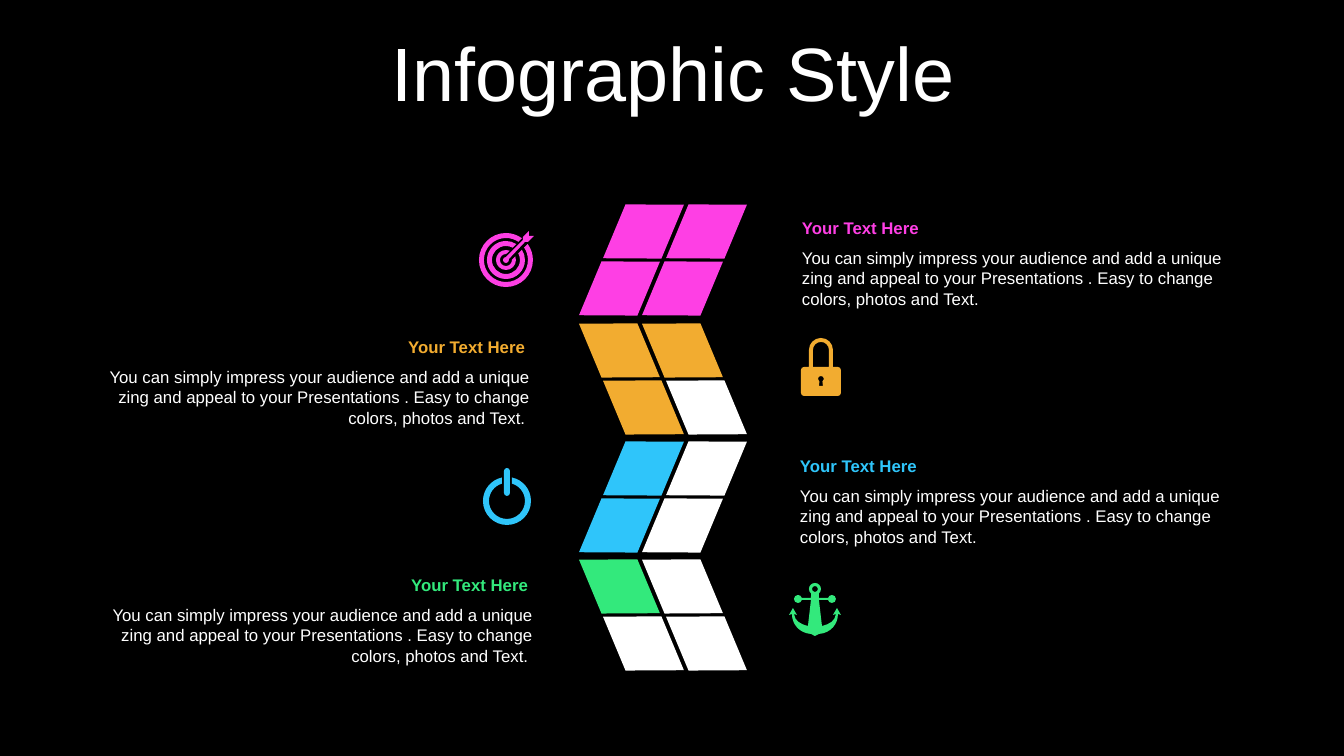
import dataclasses
import math

import pptx
import pptx.dml.color
import pptx.enum.shapes
import pptx.enum.text
import pptx.oxml
import pptx.oxml.ns
import pptx.util

SCALE = 914400 / 100.8
ALIGN = pptx.enum.text.PP_ALIGN
ANCHOR = pptx.enum.text.MSO_ANCHOR
GROW = pptx.enum.text.MSO_AUTO_SIZE.SHAPE_TO_FIT_TEXT


@dataclasses.dataclass(frozen=True)
class Theme:
    """Colours, font and type sizes of the slide."""
    back: str = "000000"
    plain: str = "FFFFFF"
    bands: tuple = ("FE3FE4", "F2AC30", "2FC5FA", "33E97C")
    font: str = "Arial"
    title: int = 54
    body: int = 12


def px(value):
    """Turn px into EMU."""
    return pptx.util.Emu(round(value * SCALE))


def rgb(color):
    """Turn a hex string into a colour."""
    return pptx.dml.color.RGBColor.from_string(color)


def arc(x, y, r, start=0, end=360):
    """Give an arc as a point and cubic curves, split at each quarter turn."""
    low, high = sorted((start, end))
    stops = sorted({low, high, *(q for q in range(-360, 721, 90) if low < q < high)},
                   reverse=start > end)
    turns = [math.radians(stop) for stop in stops]
    steps = [(x + r * math.cos(turns[0]), y - r * math.sin(turns[0]))]
    for a, b in zip(turns, turns[1:]):
        k = r * 4 / 3 * math.tan((b - a) / 4)
        far = (x + r * math.cos(b), y - r * math.sin(b))
        steps.append((*steps[-1][-2:], *far, *far))
        near = steps[-1]
        steps[-1] = (near[0] - k * math.sin(a), near[1] - k * math.cos(a),
                     far[0] + k * math.sin(b), far[1] + k * math.cos(b), *far)
    return steps


def ring(x, y, outer, inner, mid, gap):
    """Give the outline of a ring with a straight gap cut at the angle mid."""
    wide, slim = (math.degrees(math.asin(gap / r)) for r in (inner, outer))
    return (arc(x, y, outer, mid + slim, mid + 360 - slim)
            + arc(x, y, inner, mid + 360 - wide, mid + wide))


def mirror(steps, x):
    """Give the steps flipped about x and in reverse order."""
    back = [steps[-1][-2:]]
    for last, step in zip(steps[-2::-1], steps[:0:-1]):
        back.append((*step[2:4], *step[:2], *last[-2:]) if len(step) == 6 else last[-2:])
    return [tuple(v if i % 2 else 2 * x - v for i, v in enumerate(step)) for step in back]


def target():
    """Give the outlines of the target and its arrow."""
    x, y = 506, 260
    rings = [ring(x, y, far, near, 45, 4) for far, near in ((27, 22), (19, 14), (10, 6))]
    arrow = [(509, 259), (525, 242), (528, 242), (534, 236), (529, 236),
             (529, 231), (523, 237), (523, 240), (506, 257)]
    return rings + [arc(x, y, 3, 90, 360) + arrow]


def lock():
    """Give the outlines of the padlock."""
    frame = (arc(821, 350, 12, 180, 0) + [(833, 367)]
             + arc(838, 370, 3, 90, 0) + arc(838, 393, 3, 0, -90)
             + arc(804, 393, 3, 270, 180) + arc(804, 370, 3, 180, 90) + [(809, 367)])
    hole = arc(821, 350, 8, 180, 0) + [(829, 367), (813, 367)]
    key = arc(821, 379, 3, -60, 240) + [(819, 386), (823, 386)]
    return [frame, hole, key]


def power():
    """Give the outlines of the power sign."""
    bar = arc(507, 471, 3, 0, 180) + arc(507, 493, 3, 180, 360)
    return [ring(507, 501, 24, 18, 90, 5), bar]


def anchor():
    """Give the outlines of the anchor, its left half mirrored from the right."""
    x = 815
    half = (arc(x, 589, 6, 90, -50) + [(819, 598), (829, 598)]
            + arc(832, 599, 4, 165, -165) + [(829, 600), (819, 600), (822, 626)]
            + [(830, 624, 835, 621, 836, 614), (833, 615), (837, 608), (841, 615)]
            + [(838, 614), (838, 624, 831, 633, 819, 634), (x, 636)])
    return [half + mirror(half, x)[1:], arc(x, 589, 3)]


class Deck:
    """Hold the theme and the current slide."""

    def __init__(self, theme):
        """Open a blank slide."""
        self.theme = theme
        self.show = pptx.Presentation()
        self.show.slide_width, self.show.slide_height = px(1344), px(756)
        self.slide = self.show.slides.add_slide(self.show.slide_layouts[6])
        self.paint(self.slide.background, theme.back)

    def paint(self, item, color):
        """Fill an item with one colour."""
        item.fill.solid()
        item.fill.fore_color.rgb = rgb(color)

    def finish(self, shape, color):
        """Give a shape a flat fill with no line or shadow."""
        self.paint(shape, color)
        shape.line.fill.background()
        shape.shadow.inherit = False

    def tile(self, x, y, turn, color):
        """Add a turned diamond."""
        kind = pptx.enum.shapes.MSO_SHAPE.FLOWCHART_DECISION
        shape = self.slide.shapes.add_shape(kind, px(x), px(y), px(97), px(65))
        shape.rotation = turn
        self.finish(shape, color)

    def icon(self, outlines, color):
        """Add a freeform of closed outlines with lines and cubic curves."""
        build = None
        for steps in outlines:
            first, *rest = [tuple(map(px, step[-2:])) for step in steps]
            if build is None:
                build = self.slide.shapes.build_freeform(*first, scale=1.0)
            else:
                build.move_to(*first)
            build.add_line_segments(rest, close=True)
        shape = build.convert_to_shape()
        name = pptx.oxml.ns.qn
        lines = list(shape.element.iter(name("a:lnTo")))
        for line, step in zip(lines, [step for steps in outlines for step in steps[1:]]):
            if len(step) == 6:
                line.tag = name("a:cubicBezTo")
                for i in (0, 1):
                    dot = line.makeelement(name("a:pt"), {
                        "x": str(px(step[2 * i]) - shape.left),
                        "y": str(px(step[2 * i + 1]) - shape.top)})
                    line.insert(i, dot)
        self.finish(shape, color)

    def text(self, box, words, color, size, bold=False, frame=None, para=None, tail=0):
        """Add a wrapped text box, with a space of tail hundredths of a point at its end."""
        area = self.slide.shapes.add_textbox(*map(px, box)).text_frame
        line = area.paragraphs[0]
        jobs = [(area, {"word_wrap": True, **(frame or {})}), (line, para or {})]
        font = {"name": self.theme.font, "size": pptx.util.Pt(size), "bold": bold}
        for part in (words, " ") if tail else (words,):
            run = line.add_run()
            run.text = part
            run.font.color.rgb = rgb(color)
            jobs.append((run.font, font))
        for item, values in jobs:
            for name, value in values.items():
                setattr(item, name, value)
        if tail:
            run.font._element.set("spc", str(tail))

    def note(self, x, y, wide, color, align):
        """Add a heading with its text below."""
        look = {"frame": {"auto_size": GROW}, "para": {"alignment": align}}
        self.text((x, y, wide - 5, 30), "Your Text Here", color, self.theme.body, True, **look)
        words = ("You can simply impress your audience and add a unique zing and appeal "
                 "to your Presentations . Easy to change colors, photos and Text.")
        self.text((x, y + 30, wide, 72), words, self.theme.plain, self.theme.body,
                  tail=1335 if align == ALIGN.RIGHT else 0, **look)

    def band(self, step, color):
        """Add four tiles, one fewer of them coloured at each step."""
        left = step % 2 == 0
        for col in range(2):
            for row in range(2):
                shift = 24 if left == (row == 0) else 0
                fill = color if col * 2 + row < 4 - step else self.theme.plain
                self.tile(571 + 63 * col + shift, 199 + (step * 355 + 2) // 3 + 57 * row,
                          326.5 if left else 33.5, fill)


def main():
    """Build and save the slide."""
    theme = Theme()
    deck = Deck(theme)
    deck.text((35, 37, 1276, 80), "Infographic Style", theme.plain, theme.title,
              frame={"vertical_anchor": ANCHOR.MIDDLE},
              para={"alignment": ALIGN.CENTER, "line_spacing": 0.9,
                    "space_before": pptx.util.Pt(10)})
    notes = ((792, 455, ALIGN.LEFT), (80, 460, ALIGN.RIGHT),
             (790, 455, ALIGN.LEFT), (83, 460, ALIGN.RIGHT))
    icons = (target, lock, power, anchor)
    for step, (color, note, icon) in enumerate(zip(theme.bands, notes, icons)):
        x, wide, align = note
        deck.band(step, color)
        deck.note(x, 213 + 119 * step, wide, color, align)
        deck.icon(icon(), color)
    deck.show.save("out.pptx")


if __name__ == "__main__":
    main()
